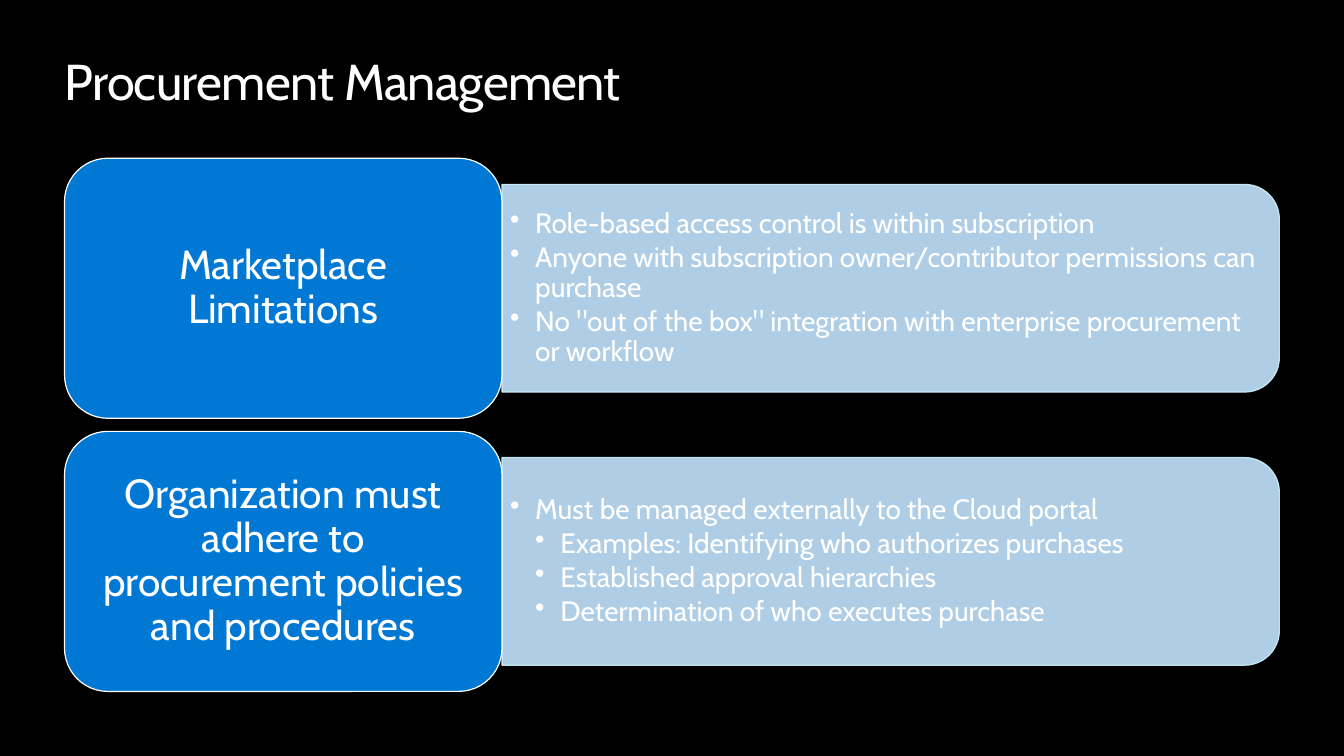
import pptx
import pptx.util
import pptx.dml.color
import pptx.enum.shapes
import pptx.enum.text
import pptx.oxml
import pptx.oxml.ns

THEME = {
    "font": "Cabin",
    "background": "000000",
    "text": "FFFFFF",
    "card": "0078D4",
    "panel": "C3E5FF",
    "panel_line": "D0F5FF",
    "panel_opacity": 90,
    "title_size": 36,
    "card_size": 29,
    "bullet_size": 20,
    "line_width": 0.85,
}

SECTIONS = [
    ("Marketplace Limitations", [
        (1, "Role-based access control is within subscription"),
        (1, "Anyone with subscription owner/contributor permissions can purchase"),
        (1, 'No "out of the box" integration with enterprise procurement or workflow'),
    ]),
    ("Organization must adhere to procurement policies and procedures", [
        (1, "Must be managed externally to the Cloud portal"),
        (2, "Examples: Identifying who authorizes purchases"),
        (2, "Established approval hierarchies"),
        (2, "Determination of who executes purchase"),
    ]),
]


def write_text(shape, lines, size, margins, anchor):
    frame = shape.text_frame
    frame.word_wrap = True
    frame.vertical_anchor = anchor
    frame.margin_left = frame.margin_right = pptx.util.Inches(margins[0])
    frame.margin_top = frame.margin_bottom = pptx.util.Inches(margins[1])
    frame.text = "\n".join(lines)
    for paragraph in frame.paragraphs:
        font = paragraph.runs[0].font
        font.name = THEME["font"]
        font.size = pptx.util.Pt(size)
        font.color.rgb = pptx.dml.color.RGBColor.from_string(THEME["text"])
    return frame.paragraphs


def paint(shape, fill, line):
    shape.shadow.inherit = False
    shape.fill.solid()
    shape.fill.fore_color.rgb = pptx.dml.color.RGBColor.from_string(fill)
    shape.line.color.rgb = pptx.dml.color.RGBColor.from_string(line)
    shape.line.width = pptx.util.Pt(THEME["line_width"])


presentation = pptx.Presentation()
presentation.slide_width = pptx.util.Inches(13.33)
presentation.slide_height = pptx.util.Inches(7.5)
column = presentation.slide_width / 100
row = presentation.slide_height / 100

slide = presentation.slides.add_slide(presentation.slide_layouts[6])
slide.background.fill.solid()
slide.background.fill.fore_color.rgb = pptx.dml.color.RGBColor.from_string(THEME["background"])

left = int(4.8 * column)
card_width, card_height = int(32.55 * column), int(34.4 * row)
panel_width, panel_height = int(57.84 * column), int(27.47 * row)
panel_left = left + card_width
first_top, pitch = int(20.93 * row), int(36.13 * row)
top_anchor = pptx.enum.text.MSO_ANCHOR.TOP
middle_anchor = pptx.enum.text.MSO_ANCHOR.MIDDLE

title = slide.shapes.add_textbox(left, int(6.67 * row), int(90.4 * column), int(8.13 * row))
title_paragraph = write_text(title, ["Procurement Management"], THEME["title_size"], (0, 0), top_anchor)[0]
title_paragraph.runs[0].font._element.set("spc", "-50")

for index, (heading, bullets) in enumerate(SECTIONS):
    card_top = first_top + index * pitch
    panel_top = card_top + (card_height - panel_height) // 2

    panel = slide.shapes.add_shape(
        pptx.enum.shapes.MSO_SHAPE.ROUND_2_SAME_RECTANGLE,
        panel_left + (panel_width - panel_height) // 2,
        panel_top - (panel_width - panel_height) // 2,
        panel_height, panel_width)
    panel.rotation = 90
    paint(panel, THEME["panel"], THEME["panel_line"])
    for color in panel._element.spPr.iter(pptx.oxml.ns.qn("a:srgbClr")):
        alpha = color.makeelement(pptx.oxml.ns.qn("a:alpha"), {"val": str(THEME["panel_opacity"] * 1000)})
        color.append(alpha)

    details = slide.shapes.add_textbox(panel_left, panel_top, int(57.09 * column), panel_height)
    paragraphs = write_text(details, [text for level, text in bullets],
                            THEME["bullet_size"], (0.08, 0.04), middle_anchor)
    for paragraph, (level, text) in zip(paragraphs, bullets):
        paragraph.level = level
        paragraph.line_spacing = 0.9
        paragraph.space_after = pptx.util.Pt(2.7)
        properties = paragraph._element.get_or_add_pPr()
        properties.set("marL", str(pptx.util.Inches(0.25 * level)))
        properties.set("indent", str(pptx.util.Inches(-0.25)))
        bullet = properties.makeelement(pptx.oxml.ns.qn("a:buChar"), {"char": "•"})
        properties.append(bullet)

    card = slide.shapes.add_shape(
        pptx.enum.shapes.MSO_SHAPE.ROUNDED_RECTANGLE, left, card_top, card_width, card_height)
    paint(card, THEME["card"], THEME["text"])
    card_paragraph = write_text(card, [heading], THEME["card_size"], (0.12, 0.06), middle_anchor)[0]
    card_paragraph.alignment = pptx.enum.text.PP_ALIGN.CENTER
    card_paragraph.line_spacing = 0.9

presentation.save("out.pptx")
